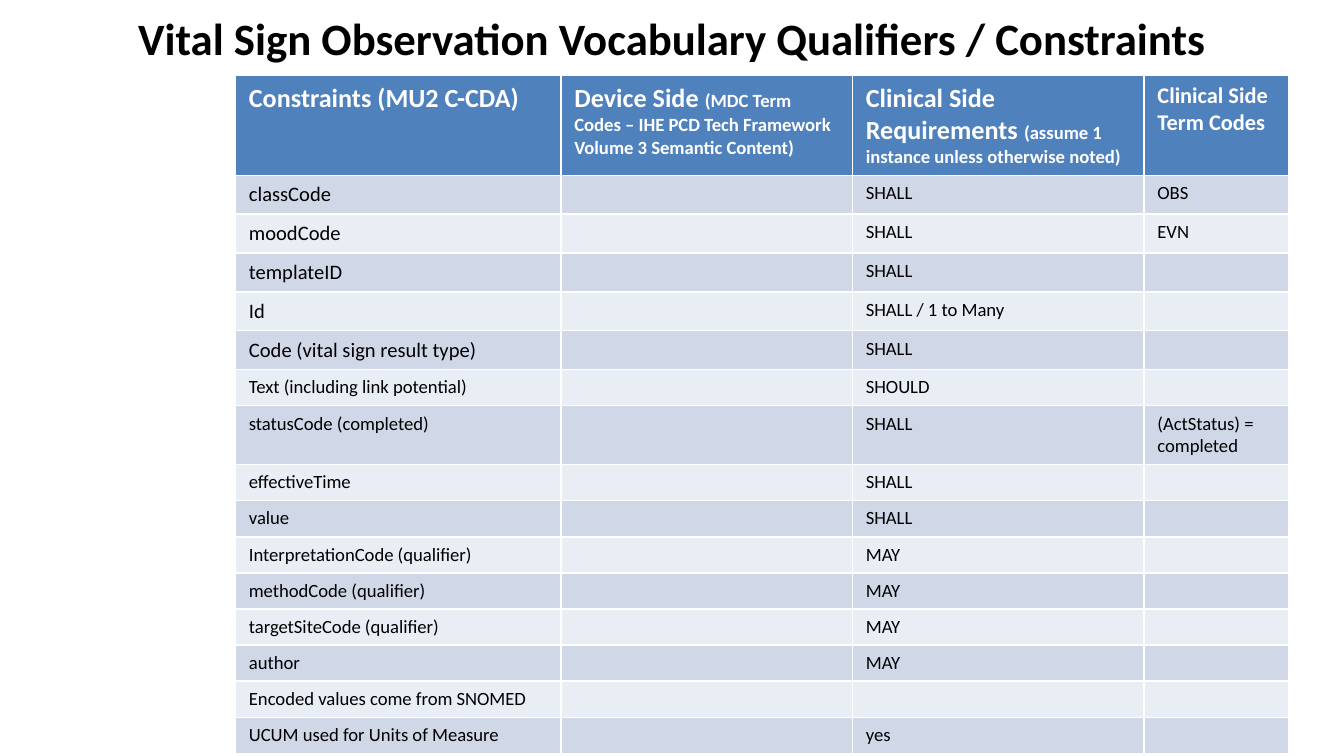
import lxml.etree
import pptx
import pptx.dml.color
import pptx.enum.text
import pptx.oxml.ns
import pptx.util
from pptx.util import Cm

BLACK = pptx.dml.color.RGBColor(0x00, 0x00, 0x00)
WHITE = pptx.dml.color.RGBColor(0xFF, 0xFF, 0xFF)
HEADER_BLUE = pptx.dml.color.RGBColor(0x4F, 0x81, 0xBD)
BAND_DARK = pptx.dml.color.RGBColor(0xD0, 0xD8, 0xE8)
BAND_LIGHT = pptx.dml.color.RGBColor(0xE9, 0xED, 0xF4)

TITLE = "Vital Sign Observation Vocabulary Qualifiers / Constraints"
COLUMN_WIDTHS = [6.15, 5.51, 5.51, 2.74]
HEADER_HEIGHT = 0.94
ROW_HEIGHT = 0.66
HEADERS = [
    [("Constraints (MU2 C-CDA)", 14)],
    [("Device Side ", 14),
     ("(MDC Term Codes – IHE PCD Tech Framework Volume 3 Semantic Content)", 10)],
    [("Clinical Side Requirements ", 14),
     ("(assume 1 instance unless otherwise noted)", 10)],
    [("Clinical Side Term Codes", 12)],
]
CONSTRAINTS = [
    ("classCode", 11, "SHALL", "OBS"),
    ("moodCode", 11, "SHALL", "EVN"),
    ("templateID", 11, "SHALL", ""),
    ("Id", 11, "SHALL / 1 to Many", ""),
    ("Code (vital sign result type)", 11, "SHALL", ""),
    ("Text (including link potential)", 10, "SHOULD", ""),
    ("statusCode (completed)", 10, "SHALL", "(ActStatus) = completed"),
    ("effectiveTime", 10, "SHALL", ""),
    ("value", 10, "SHALL", ""),
    ("InterpretationCode (qualifier)", 10, "MAY", ""),
    ("methodCode (qualifier)", 10, "MAY", ""),
    ("targetSiteCode (qualifier)", 10, "MAY", ""),
    ("author", 10, "MAY", ""),
    ("Encoded values come from SNOMED", 10, "", ""),
    ("UCUM used for Units of Measure", 10, "yes", ""),
]


def format_run(run, size, color, bold):
    """Apply the slide's typeface with the given size, colour and weight."""
    run.font.name = "Calibri"
    run.font.size = pptx.util.Pt(size)
    run.font.color.rgb = color
    run.font.bold = bold


def fill_cell(cell, pieces, background, color, bold):
    """Fill a cell with sized pieces of text, or size its empty paragraph."""
    cell.fill.solid()
    cell.fill.fore_color.rgb = background
    paragraph = cell.text_frame.paragraphs[0]
    for text, size in pieces:
        if text:
            run = paragraph.add_run()
            run.text = text
            format_run(run, size, color, bold)
        else:
            ending = lxml.etree.SubElement(
                paragraph._p, pptx.oxml.ns.qn("a:endParaRPr"))
            ending.set("sz", str(size * 100))


def add_title(slide):
    """Place and format the slide title."""
    title = slide.shapes.title
    title.left, title.top, title.width, title.height = (
        Cm(1.27), Cm(0.08), Cm(22.86), Cm(1.27))
    frame = title.text_frame
    frame.text = TITLE
    frame.auto_size = pptx.enum.text.MSO_AUTO_SIZE.NONE
    frame.vertical_anchor = pptx.enum.text.MSO_ANCHOR.MIDDLE
    paragraph = frame.paragraphs[0]
    paragraph.alignment = pptx.enum.text.PP_ALIGN.CENTER
    format_run(paragraph.runs[0], 24, BLACK, True)


def add_constraints_table(slide):
    """Add the table of constraints with a header and banded rows."""
    height = HEADER_HEIGHT + ROW_HEIGHT * len(CONSTRAINTS)
    table = slide.shapes.add_table(
        len(CONSTRAINTS) + 1, len(HEADERS),
        Cm(4.45), Cm(1.43), Cm(sum(COLUMN_WIDTHS)), Cm(height)).table
    for column, width in zip(table.columns, COLUMN_WIDTHS):
        column.width = Cm(width)
    table.rows[0].height = Cm(HEADER_HEIGHT)
    for index, pieces in enumerate(HEADERS):
        fill_cell(table.cell(0, index), pieces, HEADER_BLUE, WHITE, True)
    for row, (name, size, requirement, code) in enumerate(CONSTRAINTS, 1):
        table.rows[row].height = Cm(ROW_HEIGHT)
        band = BAND_DARK if row % 2 else BAND_LIGHT
        entries = [(name, size), ("", 10), (requirement, 10), (code, 10)]
        for index, entry in enumerate(entries):
            fill_cell(table.cell(row, index), [entry], band, BLACK, False)


def main():
    """Build the slide and save it."""
    presentation = pptx.Presentation()
    presentation.slide_width = Cm(25.4)
    presentation.slide_height = Cm(14.29)
    slide = presentation.slides.add_slide(presentation.slide_layouts[5])
    add_title(slide)
    add_constraints_table(slide)
    presentation.save("out.pptx")


if __name__ == "__main__":
    main()
